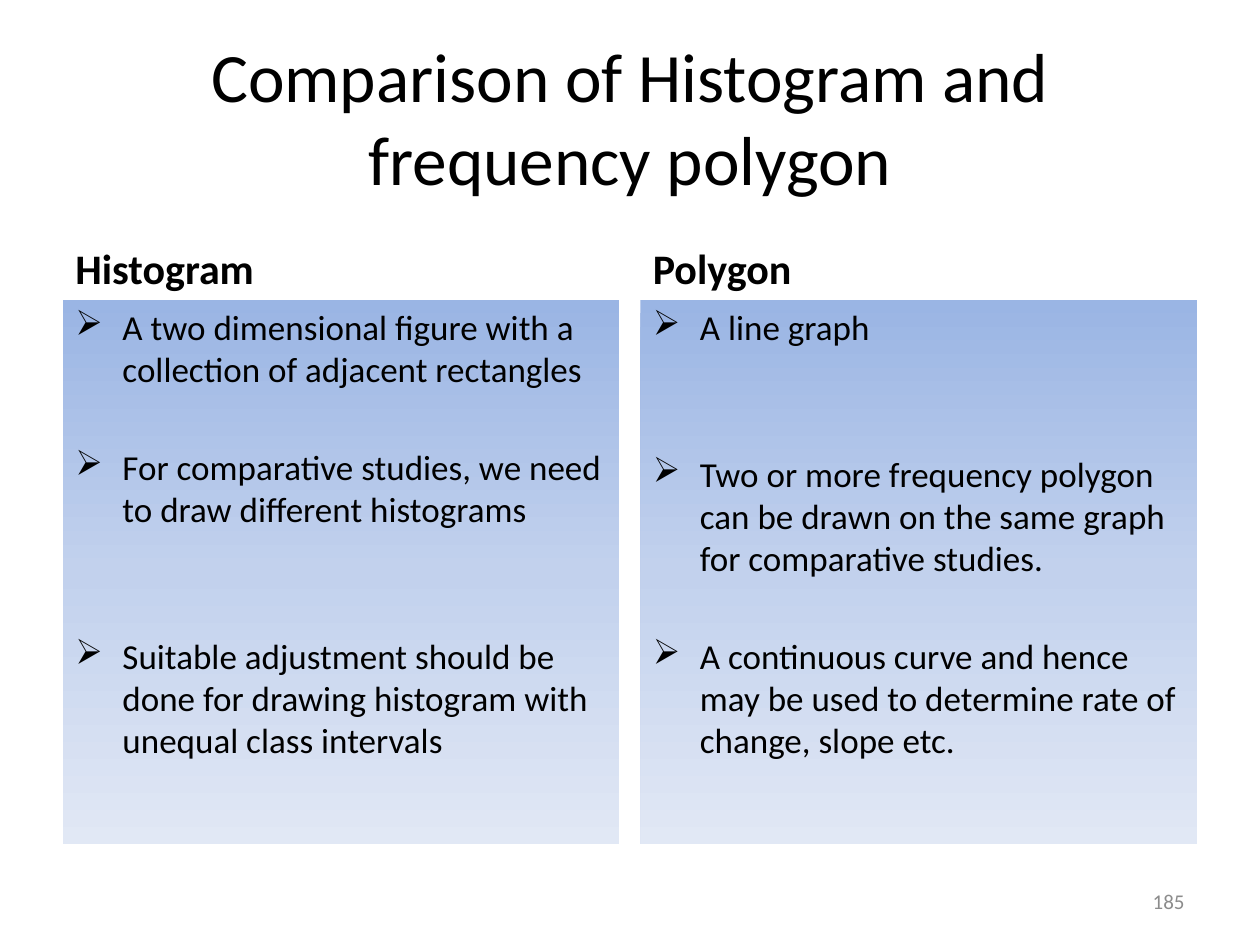
"""Build a slide that compares the histogram with the frequency polygon."""
import copy
from dataclasses import dataclass

import lxml.etree
import pptx
import pptx.dml.color
import pptx.enum.shapes
import pptx.enum.text
import pptx.oxml.ns
import pptx.util

Cm = pptx.util.Cm
Pt = pptx.util.Pt
Align = pptx.enum.text.PP_ALIGN
Anchor = pptx.enum.text.MSO_ANCHOR


@dataclass(frozen=True)
class Theme:
    font: str = "Calibri"
    ink: str = "000000"
    muted: str = "8C8C8C"
    gradient: tuple = ("9AB5E4", "C2D1ED", "E1E8F5")
    title: float = 39.6
    heading: float = 24
    body: float = 20
    number: float = 12


theme = Theme()


def style(paragraph, size, color=theme.ink, align=Align.LEFT, bold=False):
    paragraph.alignment = align
    font = paragraph.font
    font.name, font.size, font.bold = theme.font, Pt(size), bold
    font.color.rgb = pptx.dml.color.RGBColor.from_string(color)


def add_text(left, top, width, height, text, anchor, *look):
    box = page.shapes.add_textbox(Cm(left), Cm(top), Cm(width), Cm(height))
    box.text_frame.word_wrap = True
    box.text_frame.vertical_anchor = anchor
    box.text_frame.text = text
    style(box.text_frame.paragraphs[0], *look)


deck = pptx.Presentation()
deck.slide_width, deck.slide_height = Cm(25.4), Cm(19.05)
page = deck.slides.add_slide(deck.slide_layouts[6])

margin, column_width, column_step = 1.27, 11.22, 11.64
indent = Cm(0.95)
columns = [
    ("Histogram", [
        (0, "A two dimensional figure with a collection of adjacent rectangles"),
        (32, "For comparative studies, we need to draw different histograms"),
        (60, "Suitable adjustment should be done for drawing histogram with unequal class intervals"),
    ]),
    ("Polygon", [
        (0, "A line graph"),
        (60, "Two or more frequency polygon can be drawn on the same graph for comparative studies."),
        (32, "A continuous curve and hence may be used to determine rate of change, slope etc."),
    ]),
]

add_text(margin, 0.76, 22.86, 3.18, "Comparison of Histogram and frequency polygon",
         Anchor.MIDDLE, theme.title, theme.ink, Align.CENTER)

for column, (heading, points) in enumerate(columns):
    left = margin + column * column_step
    add_text(left, 4.26, column_width, 1.78, heading,
             Anchor.BOTTOM, theme.heading, theme.ink, Align.LEFT, True)

    panel = page.shapes.add_shape(pptx.enum.shapes.MSO_SHAPE.RECTANGLE,
                                  Cm(left), Cm(6.04), Cm(column_width), Cm(10.98))
    panel.shadow.inherit = False
    panel.line.fill.background()
    panel.fill.gradient()
    panel.fill.gradient_angle = 270
    stop_list = panel._element.spPr.find(".//" + pptx.oxml.ns.qn("a:gsLst"))
    stop_list.insert(1, copy.deepcopy(stop_list[0]))
    for index, (stop, color) in enumerate(zip(panel.fill.gradient_stops, theme.gradient)):
        stop.position = index / 2
        stop.color.rgb = pptx.dml.color.RGBColor.from_string(color)

    frame = panel.text_frame
    frame.word_wrap = True
    frame.vertical_anchor = Anchor.TOP
    for index, (gap, point) in enumerate(points):
        paragraph = frame.add_paragraph() if index else frame.paragraphs[0]
        paragraph.text = point
        paragraph.space_before = Pt(gap)
        properties = paragraph._p.get_or_add_pPr()
        properties.set("marL", str(indent))
        properties.set("indent", str(-indent))
        bullet = lxml.etree.SubElement(properties, pptx.oxml.ns.qn("a:buChar"))
        bullet.set("char", "➢")
        style(paragraph, theme.body)

add_text(18.2, 17.66, 5.93, 1.01, "185",
         Anchor.MIDDLE, theme.number, theme.muted, Align.RIGHT)

deck.save("out.pptx")
